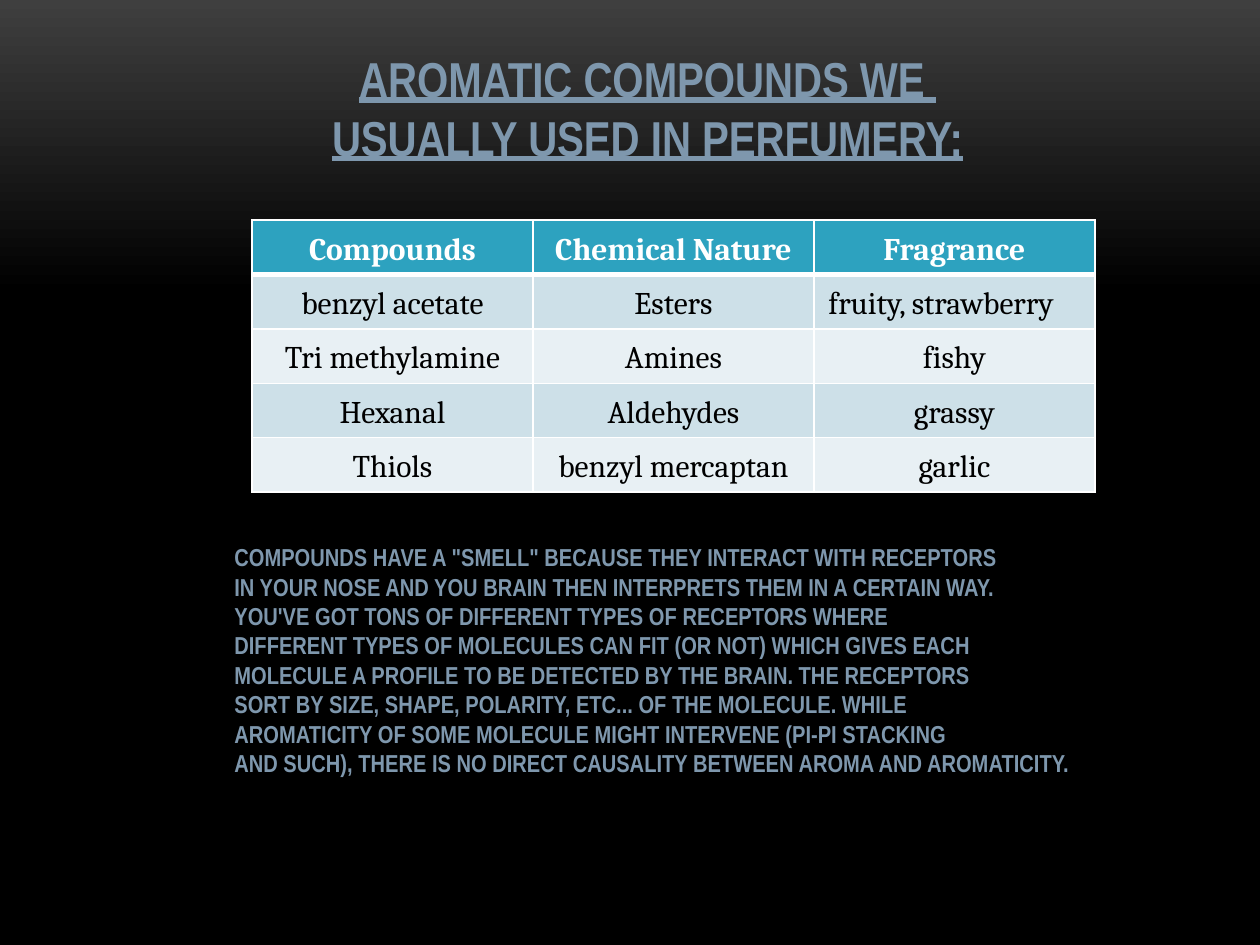
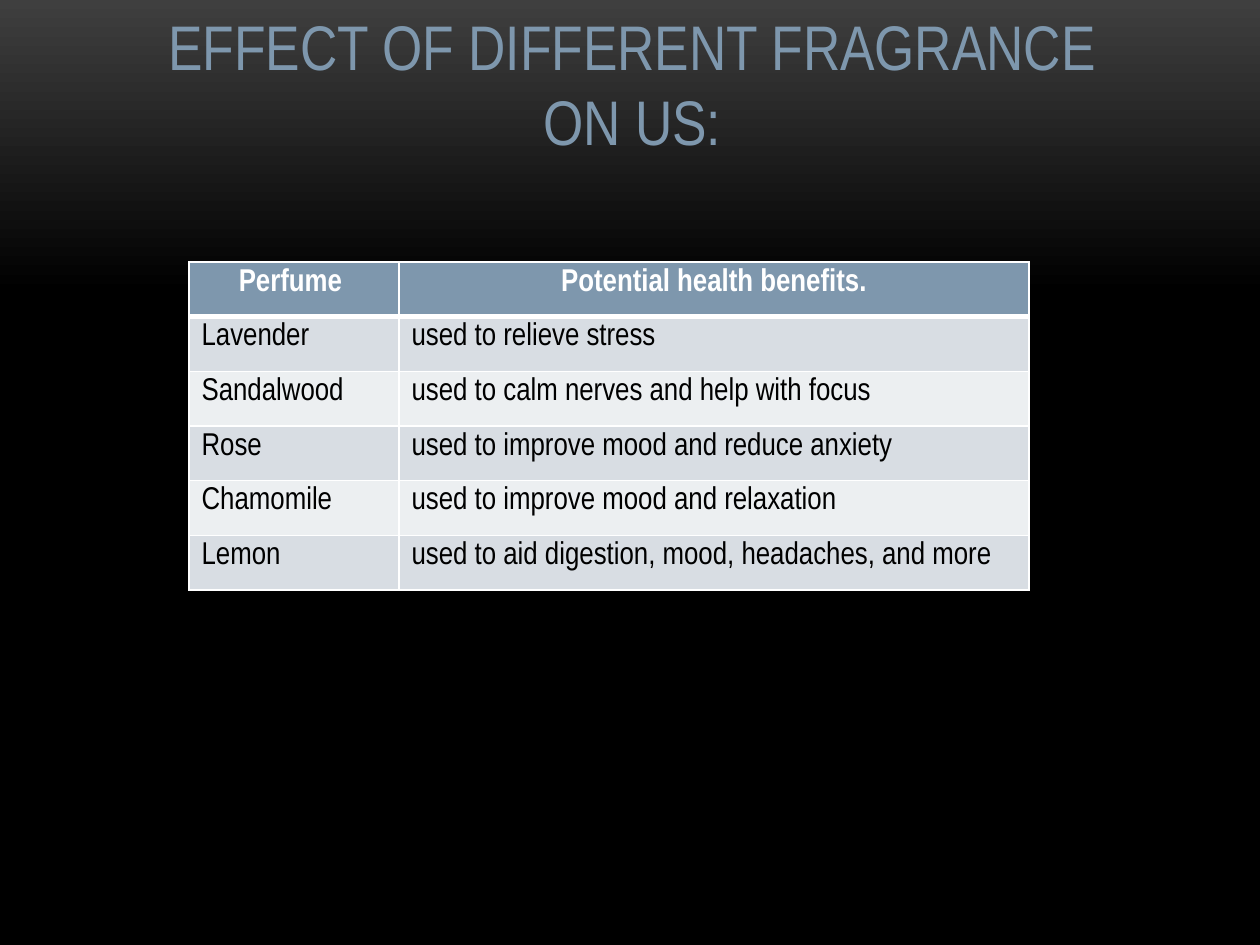
"""Builds two dark slides on perfume compounds and the effects of fragrances."""
from copy import deepcopy
from dataclasses import dataclass
from typing import Any, Optional

from pptx import Presentation
from pptx import util as u
from pptx.dml.color import RGBColor
from pptx.enum import text
from pptx.oxml import parse_xml
from pptx.oxml.ns import nsdecls, qn

SCALE = 914400 / 126
GREY = RGBColor(0x3F, 0x3F, 0x3F)
BLACK = RGBColor(0, 0, 0)
WHITE = RGBColor(0xFF, 0xFF, 0xFF)
SLATE = RGBColor(0x7E, 0x97, 0xAD)
TEAL = RGBColor(0x2D, 0xA2, 0xBF)
TEAL_BANDS = (RGBColor(0xCD, 0xE0, 0xE8), RGBColor(0xE8, 0xF0, 0xF4))
SLATE_BANDS = (RGBColor(0xD8, 0xDD, 0xE3), RGBColor(0xEC, 0xEF, 0xF1))
SANS, SERIF = "Arial Narrow", "Cambria"
LEFT, CENTER = text.PP_ALIGN.LEFT, text.PP_ALIGN.CENTER


@dataclass(frozen=True)
class Label:
    box: tuple[int, int, int, int]
    lines: list[str]
    size: int
    align: text.PP_ALIGN = CENTER
    bold: bool = False
    underline: bool = False


@dataclass(frozen=True)
class Grid:
    left: int
    top: int
    height: int
    cols: tuple[int, ...]
    rows: list[tuple[str, ...]]
    font: str
    head: RGBColor
    bands: tuple[RGBColor, RGBColor]
    body_align: text.PP_ALIGN
    spacing: Optional[float] = None


COMPOUNDS_TITLE = Label(
    (315, 42, 665, 131),
    ["AROMATIC COMPOUNDS WE ", "USUALLY USED IN PERFUMERY:"],
    28, bold=True, underline=True)
COMPOUNDS = Grid(252, 220, 272, (281, 281, 281), [
    ("Compounds", "Chemical Nature", "Fragrance"),
    ("benzyl acetate", "Esters", "fruity, strawberry\t"),
    ("Tri methylamine", "Amines", "fishy"),
    ("Hexanal", "Aldehydes", "grassy"),
    ("Thiols", "benzyl mercaptan", "garlic"),
], SERIF, TEAL, TEAL_BANDS, CENTER, 1.15)
SMELL_NOTE = Label((222, 536, 866, 251), [
    'COMPOUNDS HAVE A "SMELL" BECAUSE THEY INTERACT WITH RECEPTORS',
    "IN YOUR NOSE AND YOU BRAIN THEN INTERPRETS THEM IN A CERTAIN WAY.",
    "YOU'VE GOT TONS OF DIFFERENT TYPES OF RECEPTORS WHERE",
    "DIFFERENT TYPES OF MOLECULES CAN FIT (OR NOT) WHICH GIVES EACH",
    "MOLECULE A PROFILE TO BE DETECTED BY THE BRAIN. THE RECEPTORS",
    "SORT BY SIZE, SHAPE, POLARITY, ETC... OF THE MOLECULE. WHILE",
    "AROMATICITY OF SOME MOLECULE MIGHT INTERVENE (PI-PI STACKING",
    "AND SUCH), THERE IS NO DIRECT CAUSALITY BETWEEN AROMA AND AROMATICITY.",
], 14, LEFT, bold=True)
EFFECTS_TITLE = Label(
    (151, 1, 963, 165), ["EFFECT OF DIFFERENT FRAGRANCE\vON US:"], 36)
EFFECTS = Grid(189, 262, 328, (210, 630), [
    ("Perfume ", "Potential health benefits."),
    ("Lavender", "used to relieve stress"),
    ("Sandalwood", "used to calm nerves and help with focus"),
    ("Rose", "used to improve mood and reduce anxiety"),
    ("Chamomile", "used to improve mood and relaxation"),
    ("Lemon", "used to aid digestion, mood, headaches, and more"),
], SANS, SLATE, SLATE_BANDS, LEFT)


def px(n: int) -> u.Emu:
    """Turn pixels into EMU."""
    return u.Emu(round(n * SCALE))


def style(p: Any, color: RGBColor, **formats: Any) -> None:
    """Apply font attributes and a colour to every run of a paragraph."""
    for r in p.runs:
        for name, value in formats.items():
            setattr(r.font, name, value)
        r.font.color.rgb = color


def add_slide(prs: Any) -> Any:
    """Add a blank slide with the shared dark gradient."""
    s = prs.slides.add_slide(prs.slide_layouts[6])
    fill = s.background.fill
    fill.gradient()
    fill.gradient_angle = 270
    for stop, color, position in zip(fill.gradient_stops, (GREY, BLACK), (0, 0.31)):
        stop.color.rgb = color
        stop.position = position
    last = list(s.element.iter(qn("a:gs")))[-1]
    end = deepcopy(last)
    end.set("pos", "100000")
    last.addnext(end)
    return s


def add_label(s: Any, label: Label) -> None:
    """Add an unwrapped text box, one paragraph a line."""
    tf = s.shapes.add_textbox(*map(px, label.box)).text_frame
    tf.word_wrap = False
    tf.auto_size = text.MSO_AUTO_SIZE.SHAPE_TO_FIT_TEXT
    for i, line in enumerate(label.lines):
        p = tf.paragraphs[0] if i == 0 else tf.add_paragraph()
        p.text = line
        p.alignment = label.align
        style(p, SLATE, name=SANS, size=u.Pt(label.size),
              bold=label.bold, underline=label.underline)


def add_borders(cell: Any, row: int) -> None:
    """Draw white cell borders with a heavy rule under the header."""
    widths = {"L": 1, "R": 1, "T": 3 if row == 1 else 1, "B": 3 if row == 0 else 1}
    tc_pr = cell._tc.get_or_add_tcPr()
    for i, (side, width) in enumerate(widths.items()):
        tc_pr.insert(i, parse_xml(
            f'<a:ln{side} {nsdecls("a")} w="{u.Pt(width)}"><a:solidFill>'
            f'<a:srgbClr val="{WHITE}"/></a:solidFill></a:ln{side}>'))


def add_grid(s: Any, grid: Grid) -> None:
    """Add a banded table with a coloured header row."""
    tbl = s.shapes.add_table(
        len(grid.rows), len(grid.cols), px(grid.left), px(grid.top),
        px(sum(grid.cols)), px(grid.height)).table
    for col, width in zip(tbl.columns, grid.cols):
        col.width = px(width)
    for i, row in enumerate(grid.rows):
        header = i == 0
        for j, value in enumerate(row):
            cell = tbl.cell(i, j)
            cell.text = value
            cell.fill.solid()
            cell.fill.fore_color.rgb = grid.head if header else grid.bands[(i - 1) % 2]
            add_borders(cell, i)
            p = cell.text_frame.paragraphs[0]
            p.alignment = CENTER if header else grid.body_align
            p.line_spacing = grid.spacing
            style(p, WHITE if header else BLACK,
                  name=grid.font, size=u.Pt(18), bold=header)


def main() -> None:
    """Build and save both slides."""
    prs = Presentation()
    prs.slide_width, prs.slide_height = px(1260), px(945)
    s = add_slide(prs)
    add_grid(s, COMPOUNDS)
    add_label(s, COMPOUNDS_TITLE)
    add_label(s, SMELL_NOTE)
    s = add_slide(prs)
    add_label(s, EFFECTS_TITLE)
    add_grid(s, EFFECTS)
    prs.save("out.pptx")


if __name__ == "__main__":
    main()
